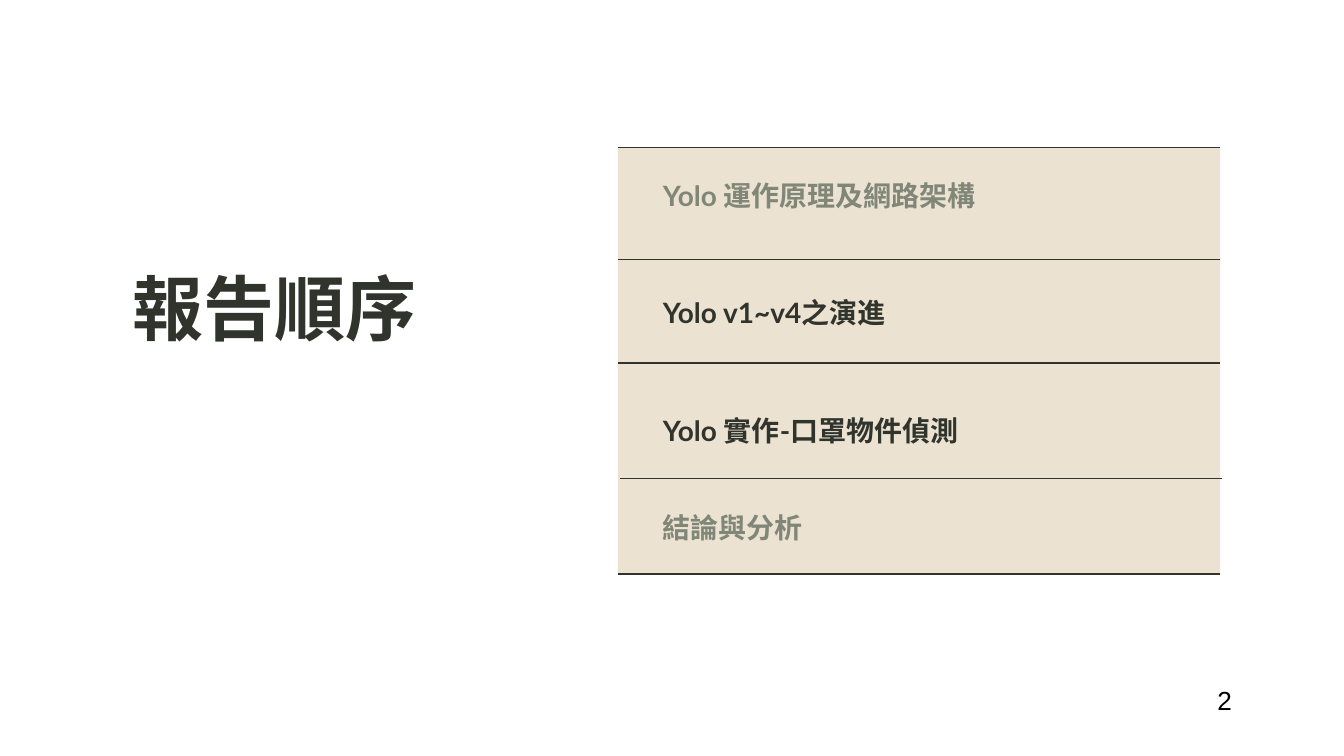
from pptx import Presentation
from pptx.dml.color import RGBColor
from pptx.enum.shapes import MSO_CONNECTOR as Connector, MSO_SHAPE as Shape
from pptx.enum.text import MSO_ANCHOR as Anchor, MSO_AUTO_SIZE as AutoSize, PP_ALIGN as Align
from pptx.oxml.ns import qn
from pptx.util import Cm, Pt
from lxml import etree

DARK = RGBColor(0x31, 0x34, 0x2D)
MUTED = RGBColor(0x80, 0x86, 0x78)
SAND = RGBColor(0xEB, 0xE2, 0xD1)
BLACK = RGBColor(0, 0, 0)

PANEL_LEFT, PANEL_TOP, PANEL_WIDTH, PANEL_HEIGHT = 11.68, 2.79, 11.38, 8.08
ITEM_LEFT = 12.34

# Agenda entries: text, top, width, colour, line spacing
AGENDA = [
    ("Yolo 運作原理及網路架構", 3.28, 7.32, MUTED, 1.0),
    ("Yolo v1~v4之演進", 5.49, 10.46, DARK, 1.0),
    ("Yolo 實作-口罩物件偵測", 7.65, 10.46, DARK, 1.1),
    ("結論與分析", 9.55, 7.32, MUTED, 1.0),
]
# Rules: left, height on the slide
RULES = [(PANEL_LEFT, 2.79), (PANEL_LEFT, 4.9), (PANEL_LEFT, 6.86),
         (11.71, 9.04), (PANEL_LEFT, 10.85)]


def fill_text(shape, text, size, color, font="Lato", bold=True, spacing=1.0, insets=(0.19, 0.1)):
    frame = shape.text_frame
    frame.auto_size = AutoSize.NONE
    frame.vertical_anchor = Anchor.TOP
    frame.margin_left = frame.margin_right = Cm(insets[0])
    frame.margin_top = frame.margin_bottom = Cm(insets[1])
    paragraph = frame.paragraphs[0]
    paragraph.alignment = Align.LEFT
    paragraph.line_spacing = spacing
    run = paragraph.add_run()
    run.text = text
    run.font.name = font
    run.font.size = Pt(size)
    run.font.bold = bold
    run.font.color.rgb = color


def add_title(slide, text):
    title = slide.shapes.title
    title.left, title.top, title.width, title.height = Cm(2.31), Cm(4.9), Cm(6.55), Cm(1.83)
    title.text_frame.word_wrap = True
    fill_text(title, text, 38, DARK)


def add_label(slide, left, top, width, height, wrap=True):
    label = slide.shapes.add_textbox(Cm(left), Cm(top), Cm(width), Cm(height))
    label.text_frame.word_wrap = wrap
    return label


def add_panel(slide):
    panel = slide.shapes.add_shape(Shape.RECTANGLE, Cm(PANEL_LEFT), Cm(PANEL_TOP),
                                   Cm(PANEL_WIDTH), Cm(PANEL_HEIGHT))
    panel.shadow.inherit = False
    panel.fill.solid()
    panel.fill.fore_color.rgb = SAND
    panel.line.fill.background()


def add_rule(slide, left, top):
    rule = slide.shapes.add_connector(Connector.STRAIGHT, Cm(left), Cm(top),
                                      Cm(left + PANEL_WIDTH), Cm(top))
    rule.line.color.rgb = DARK
    rule.line.width = Pt(0.75)
    etree.SubElement(rule._element.spPr, qn("a:effectLst"))


def main():
    presentation = Presentation()
    presentation.slide_width, presentation.slide_height = Cm(25.4), Cm(14.29)
    slide = presentation.slides.add_slide(presentation.slide_layouts[5])

    # Heading on the left
    add_title(slide, "報告順序")

    # Agenda panel with its rules and entries
    add_panel(slide)
    for left, top in RULES:
        add_rule(slide, left, top)
    for text, top, width, color, spacing in AGENDA:
        label = add_label(slide, ITEM_LEFT, top, width, 0.85)
        fill_text(label, text, 15, color, spacing=spacing)

    # Page number
    number = add_label(slide, 22.76, 12.8, 0.64, 0.86, wrap=False)
    fill_text(number, "2", 14, BLACK, font="Arial", bold=False, insets=(0.25, 0.13))

    presentation.save("out.pptx")


if __name__ == "__main__":
    main()
